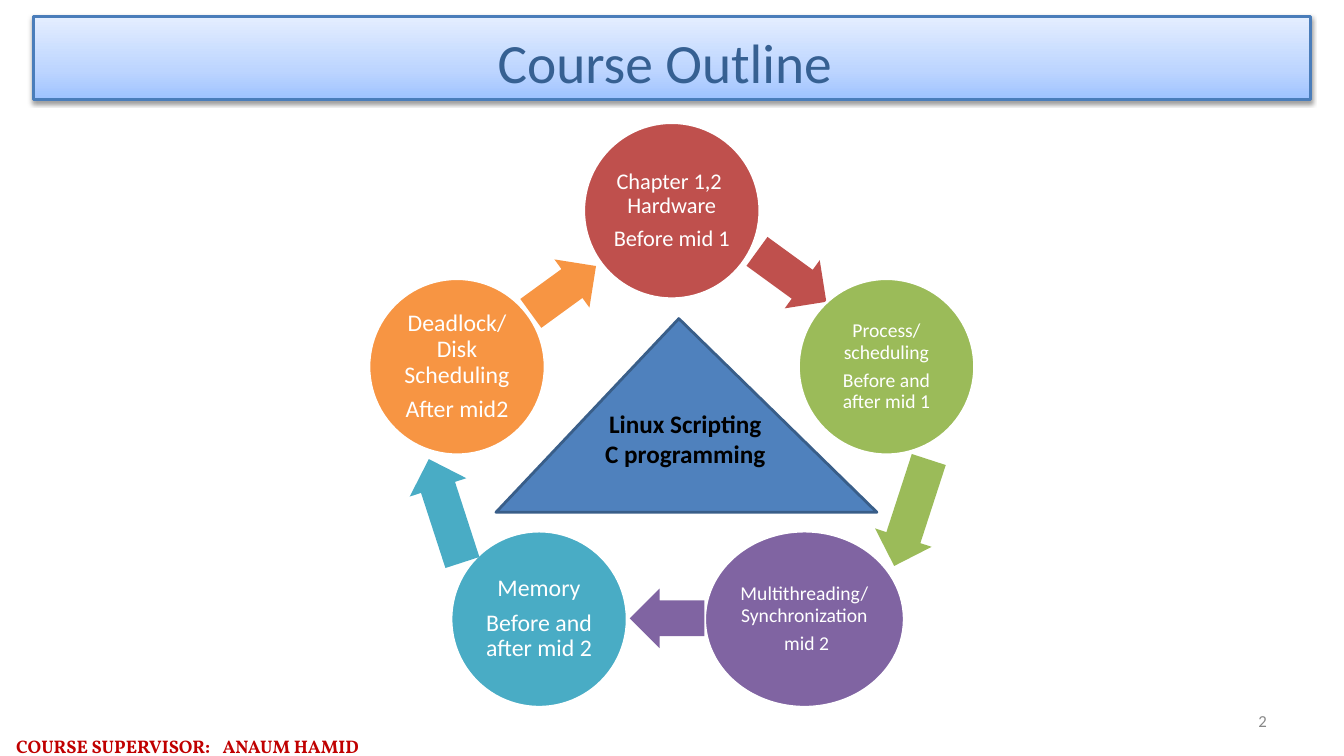
from math import cos, radians, sin

from lxml.etree import SubElement
from pptx import Presentation
from pptx.dml.color import RGBColor
from pptx.enum.shapes import MSO_SHAPE
from pptx.enum.text import MSO_ANCHOR, PP_ALIGN
from pptx.oxml import parse_xml
from pptx.oxml.ns import nsdecls, qn
from pptx.util import Cm, Pt

TITLE = "Course Outline"
CORE = ["Linux Scripting", "C programming"]
FOOT = "COURSE SUPERVISOR:\tANAUM HAMID"
PAGE = "2"
SHADES = [(0, "9FC3FF"), (35, "BDD5FF"), (100, "E4EEFF")]
# fill, circle width, text size, heading lines, timing, arrow (x, y, length)
STAGES = [
    ("BF504D", 4.44, 16, ["Chapter 1,2 ", "Hardware"], "Before mid 1", (19.95, 6.97, 2.16)),
    ("9BBB59", 4.44, 14, ["Process/ scheduling"], "Before and after mid 1", (22.97, 12.92, 2.82)),
    ("8064A2", 5.03, 14, ["Multithreading/ Synchronization"], " mid 2", (16.81, 15.58, 1.88)),
    ("49ACC5", 4.44, 17, ["Memory"], "Before and after mid 2", (11.23, 12.87, 2.74)),
    ("F79543", 4.44, 17, ["Deadlock/ Disk Scheduling"], "After mid2", (14.2, 7.3, 2.03)),
]
MID_X, MID_Y, RING, SIZE, THICK = 16.93, 11, 5.69, 4.44, 1.5


def tint(code):
    return RGBColor.from_string(code)


def draw(kind, x, y, w, h, fill, line=None, width=2):
    shape = slide.shapes.add_shape(kind, Cm(x), Cm(y), Cm(w), Cm(h))
    shape.shadow.inherit = False
    shape.fill.solid()
    shape.fill.fore_color.rgb = tint(fill)
    if line:
        shape.line.color.rgb = tint(line)
        shape.line.width = Pt(width)
    else:
        shape.line.fill.background()
    return shape


def box(x, y, w, h):
    return slide.shapes.add_textbox(Cm(x), Cm(y), Cm(w), Cm(h))


def write(shape, lines, size, color, align=PP_ALIGN.CENTER, anchor=MSO_ANCHOR.MIDDLE,
          pads=(0.25, 0.13, 0.25, 0.13), bold=False, font="Calibri"):
    frame = shape.text_frame
    frame.word_wrap = True
    frame.vertical_anchor = anchor
    (frame.margin_left, frame.margin_top,
     frame.margin_right, frame.margin_bottom) = map(Cm, pads)
    for i, line in enumerate(lines):
        para = frame.add_paragraph() if i else frame.paragraphs[0]
        para.alignment = align
        run = para.add_run()
        run.text = line
        run.font.size = Pt(size)
        run.font.name = font
        run.font.bold = bold
        run.font.color.rgb = tint(color)
    return frame.paragraphs


def shade(shape):
    stops = "".join(f'<a:gs pos="{pos * 1000}"><a:srgbClr val="{code}"/></a:gs>'
                    for pos, code in SHADES)
    props = shape.element.spPr
    props.replace(props.find(qn("a:solidFill")), parse_xml(
        f'<a:gradFill {nsdecls("a")}><a:gsLst>{stops}</a:gsLst>'
        '<a:lin ang="16200000" scaled="0"/></a:gradFill>'))
    props.find(qn("a:effectLst")).append(parse_xml(
        f'<a:outerShdw {nsdecls("a")} blurRad="39400" dist="20300" dir="5400000" rotWithShape="0">'
        '<a:srgbClr val="000000"><a:alpha val="38000"/></a:srgbClr></a:outerShdw>'))


deck = Presentation()
deck.slide_width, deck.slide_height = Cm(33.87), Cm(19.05)
slide = deck.slides.add_slide(deck.slide_layouts[6])

head = draw(MSO_SHAPE.RECTANGLE, 0.84, 0.42, 32.18, 2.08, "BDD5FF", "4A7DBA", 2.25)
shade(head)
write(head, [TITLE], 39.6, "366092", pads=(0.25, 0.28, 0.6, 0.13))

for i, (fill, wide, size, heads, when, (x, y, length)) in enumerate(STAGES):
    turn = radians(72 * i)
    left = MID_X + RING * sin(turn) - wide / 2
    top = MID_Y - RING * cos(turn) - SIZE / 2
    disc = draw(MSO_SHAPE.OVAL, left, top, wide, SIZE, fill, "FFFFFF")
    paras = write(disc, heads + [when], size, "FFFFFF", pads=(0.05,) * 4)
    for para in paras:
        para.line_spacing = 0.9
    paras[-1].space_before = Pt(size * 0.35)
    arrow = draw(MSO_SHAPE.RIGHT_ARROW, x - length / 2, y - THICK / 2, length, THICK, fill)
    arrow.adjustments[0], arrow.adjustments[1] = 0.6, 0.5
    arrow.rotation = 36 + 72 * i

core = draw(MSO_SHAPE.ISOSCELES_TRIANGLE, 12.5, 8.03, 9.6, 4.88, "4F81BD", "395E89")
core.adjustments[0] = 0.48
write(box(14.17, 10.16, 6.2, 1.8), CORE, 18, "000000", anchor=MSO_ANCHOR.TOP, bold=True)

foot = write(box(0.38, 18.42, 11.25, 0.56), [FOOT], 13, "C00000", PP_ALIGN.LEFT,
             MSO_ANCHOR.TOP, (0.03, 0, 0, 0), True, "Vollkorn")[0]
foot.line_spacing = 1.2
tabs = SubElement(foot._p.get_or_add_pPr(), qn("a:tabLst"))
SubElement(tabs, qn("a:tab"), pos=str(Cm(5.2)), algn="l")

write(box(24.28, 17.65, 7.9, 1.02), [PAGE], 12, "888888", PP_ALIGN.RIGHT)

deck.save("out.pptx")
